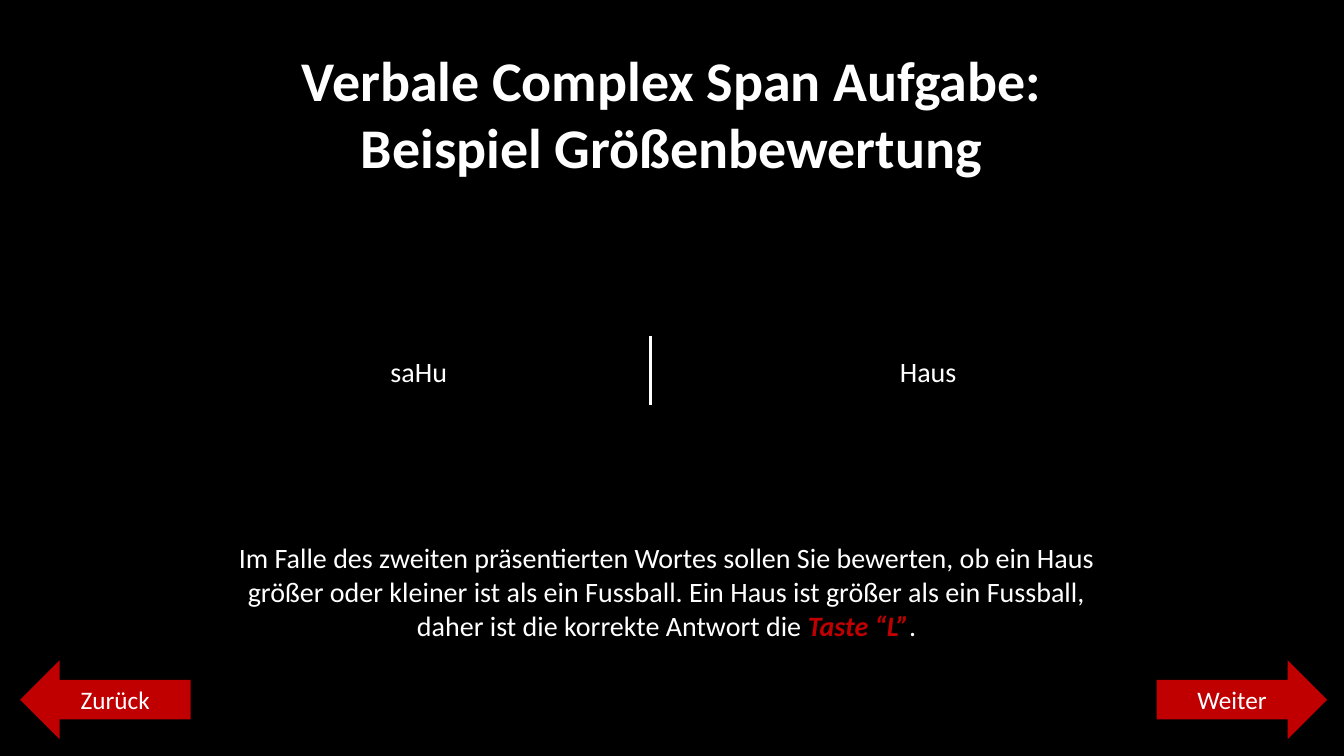
from lxml import etree
from pptx import Presentation
from pptx import util as u
from pptx.dml.color import RGBColor
from pptx.enum import shapes, text

WHITE, RED, BLACK = "FFFFFF", "C00000", "000000"
COLS, ROWS = 160, 90


def paint(color, code):
    color.rgb = RGBColor.from_string(code)


class Board:
    base = dict(name="Calibri", size=u.Pt(20), bold=False, italic=False)

    def __init__(self, deck):
        self.deck = deck
        self.slide = deck.slides.add_slide(deck.slide_layouts[6])
        fill = self.slide.background.fill
        fill.solid()
        paint(fill.fore_color, BLACK)

    def grid(self, *cells):
        units = self.deck.slide_width / COLS, self.deck.slide_height / ROWS
        return [round(cell * units[i % 2]) for i, cell in enumerate(cells)]

    def letter(self, frame, runs, **form):
        para = frame.paragraphs[0]
        para.alignment = text.PP_ALIGN.CENTER
        for words, color, extra in runs:
            for i, line in enumerate(words.split("\n")):
                if i:
                    para.add_line_break()
                run = para.add_run()
                run.text = line
                paint(run.font.color, color)
                for key, value in {**self.base, **form, **extra}.items():
                    setattr(run.font, key, value)

    def label(self, cells, *runs, wrap=True, **form):
        frame = self.slide.shapes.add_textbox(*self.grid(*cells)).text_frame
        frame.word_wrap = wrap
        self.letter(frame, runs, **form)

    def arrow(self, kind, cells, words):
        shape = self.slide.shapes.add_shape(kind, *self.grid(*cells))
        shape.shadow.inherit = False
        shape.fill.solid()
        paint(shape.fill.fore_color, RED)
        shape.line.fill.background()
        shape.text_frame.vertical_anchor = text.MSO_ANCHOR.MIDDLE
        self.letter(shape.text_frame, [(words, WHITE, {})], size=u.Pt(18))

    def rule(self, cells):
        line = self.slide.shapes.add_connector(
            shapes.MSO_CONNECTOR.STRAIGHT, *self.grid(*cells))
        paint(line.line.color, WHITE)
        line.line.width = u.Pt(2)
        space = "{http://schemas.openxmlformats.org/drawingml/2006/main}"
        etree.SubElement(line._element.spPr, space + "effectLst")


deck = Presentation()
deck.slide_width, deck.slide_height = u.Inches(13.33), u.Inches(7.5)
board = Board(deck)

board.label((34.3, 4.8, 91.3, 17.4),
            ("Verbale Complex Span Aufgabe:\nBeispiel Größenbewertung", WHITE, {}),
            wrap=False, size=u.Pt(40), bold=True)

kinds = shapes.MSO_SHAPE
for kind, left, words in ((kinds.RIGHT_ARROW, 137.7, "Weiter"),
                          (kinds.LEFT_ARROW, 2.4, "Zurück")):
    board.arrow(kind, (left, 78.6, 20.3, 9.4), words)

board.label((24.1, 63.8, 110.5, 21.4),
            ("Im Falle des zweiten präsentierten Wortes sollen Sie bewerten, "
             "ob ein Haus größer oder kleiner ist als ein Fussball. "
             "Ein Haus ist größer als ein Fussball, "
             "daher ist die korrekte Antwort die ", WHITE, {}),
            ("Taste “L”", RED, dict(bold=True, italic=True)),
            (".", WHITE, {}))

board.rule((77.4, 40, 77.4, 48.2))
for left, width, word in ((21.4, 56.9, "saHu"), (86.3, 48.4, "Haus")):
    board.label((left, 41.6, width, 5.3), (word, WHITE, {}))

deck.save("out.pptx")
